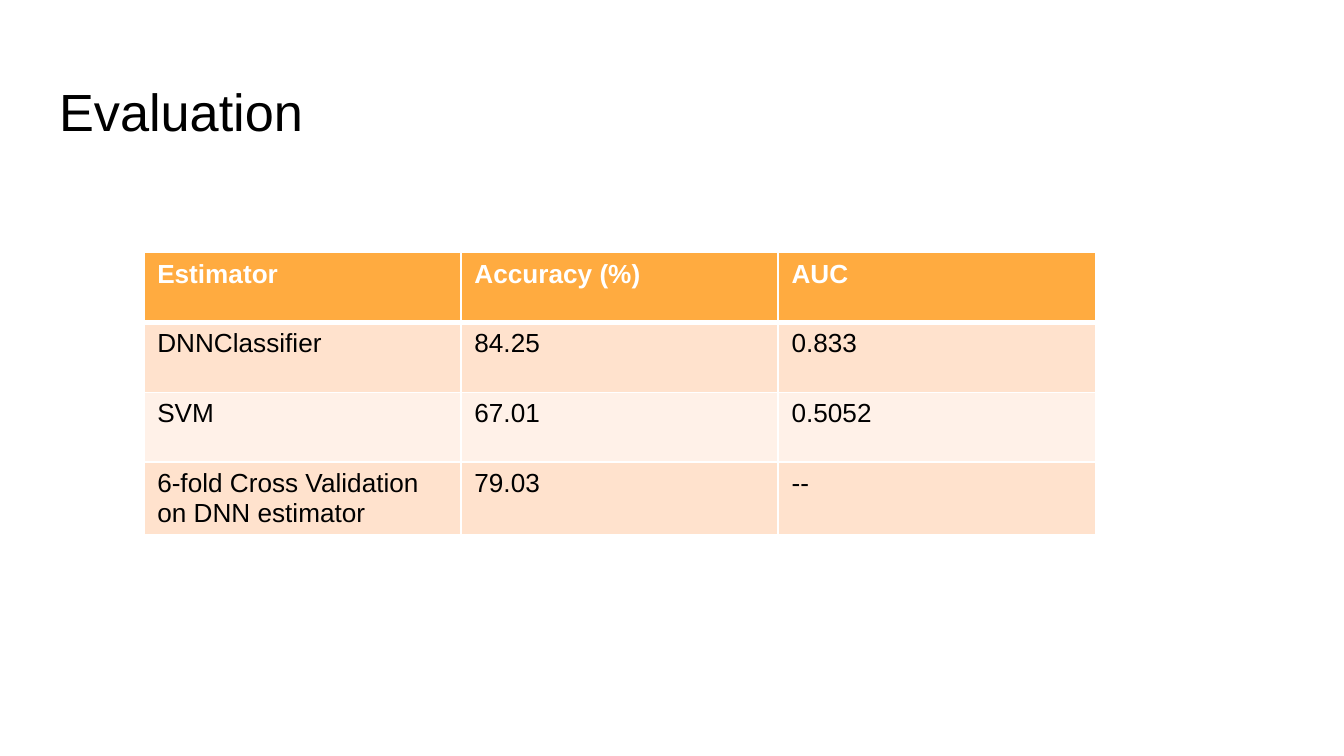
import lxml.etree
import pptx
import pptx.dml.color
import pptx.enum.text
import pptx.oxml.ns
import pptx.util

Inches = pptx.util.Inches
Pt = pptx.util.Pt
HEAD = {"name": "Arial", "size": Pt(28), "bold": False}
CELL = {"name": "Arial", "size": Pt(14), "bold": False}
ROWS = [
    ("Estimator", "Accuracy (%)", "AUC"),
    ("DNNClassifier", "84.25", "0.833"),
    ("SVM", "67.01", "0.5052"),
    ("6-fold Cross Validation on DNN estimator", "79.03", "--"),
]
FILLS = ["FFAB40", "FFE2CD", "FFF1E8", "FFE2CD"]


def tint(target, color):
    """Give a font or a fill its colour from a hex string."""
    target.rgb = pptx.dml.color.RGBColor.from_string(color)


def style(item, values):
    """Set each attribute of an item from a dict."""
    for name, value in values.items():
        setattr(item, name, value)


def edge(cell, side, width, color):
    """Draw one border of a cell."""
    tag = pptx.oxml.ns.qn
    props = cell._tc.get_or_add_tcPr()
    line = lxml.etree.SubElement(props, tag("a:ln" + side), w=str(Pt(width)))
    fill = lxml.etree.SubElement(line, tag("a:solidFill"))
    lxml.etree.SubElement(fill, tag("a:srgbClr"), val=color)


def add_title(slide, text, left, top, width, height):
    """Place and format the title in its box."""
    title = slide.shapes.title
    style(title, {"left": Inches(left), "top": Inches(top),
                  "width": Inches(width), "height": Inches(height)})
    frame = title.text_frame
    frame.text = text
    inset = Inches(0.1)
    style(frame, {"margin_left": inset, "margin_right": inset,
                  "margin_top": inset, "margin_bottom": inset,
                  "word_wrap": True,
                  "auto_size": pptx.enum.text.MSO_AUTO_SIZE.NONE,
                  "vertical_anchor": pptx.enum.text.MSO_ANCHOR.TOP})
    para = frame.paragraphs[0]
    para.alignment = pptx.enum.text.PP_ALIGN.LEFT
    style(para.font, HEAD)
    tint(para.font.color, "000000")


def add_scores(slide, left, top, width, height):
    """Fill a box with the table of scores."""
    box = [Inches(size) for size in (left, top, width, height)]
    table = slide.shapes.add_table(len(ROWS), len(ROWS[0]), *box).table
    for col in table.columns:
        col.width = Inches(width / len(ROWS[0]))
    for r, (row, fill) in enumerate(zip(ROWS, FILLS)):
        table.rows[r].height = Inches(height / len(ROWS))
        rules = {"L": 1, "R": 1, "T": 3 if r == 1 else 1, "B": 3 if r == 0 else 1}
        for c, text in enumerate(row):
            cell = table.cell(r, c)
            for side, line in rules.items():
                edge(cell, side, line, "FFFFFF")
            cell.fill.solid()
            tint(cell.fill.fore_color, fill)
            cell.text = text
            font = cell.text_frame.paragraphs[0].font
            style(font, {**CELL, "bold": r == 0})
            tint(font.color, "FFFFFF" if r == 0 else "000000")


def main():
    """Build the slide and save it."""
    deck = pptx.Presentation()
    wide = Inches(10)
    style(deck, {"slide_width": wide, "slide_height": wide * 9 // 16})
    slide = deck.slides.add_slide(deck.slide_layouts[5])
    add_title(slide, "Evaluation", 0.34, 0.49, 9.32, 0.63)
    add_scores(slide, 1.07, 1.88, 7.08, 2.08)
    deck.save("out.pptx")


if __name__ == "__main__":
    main()
